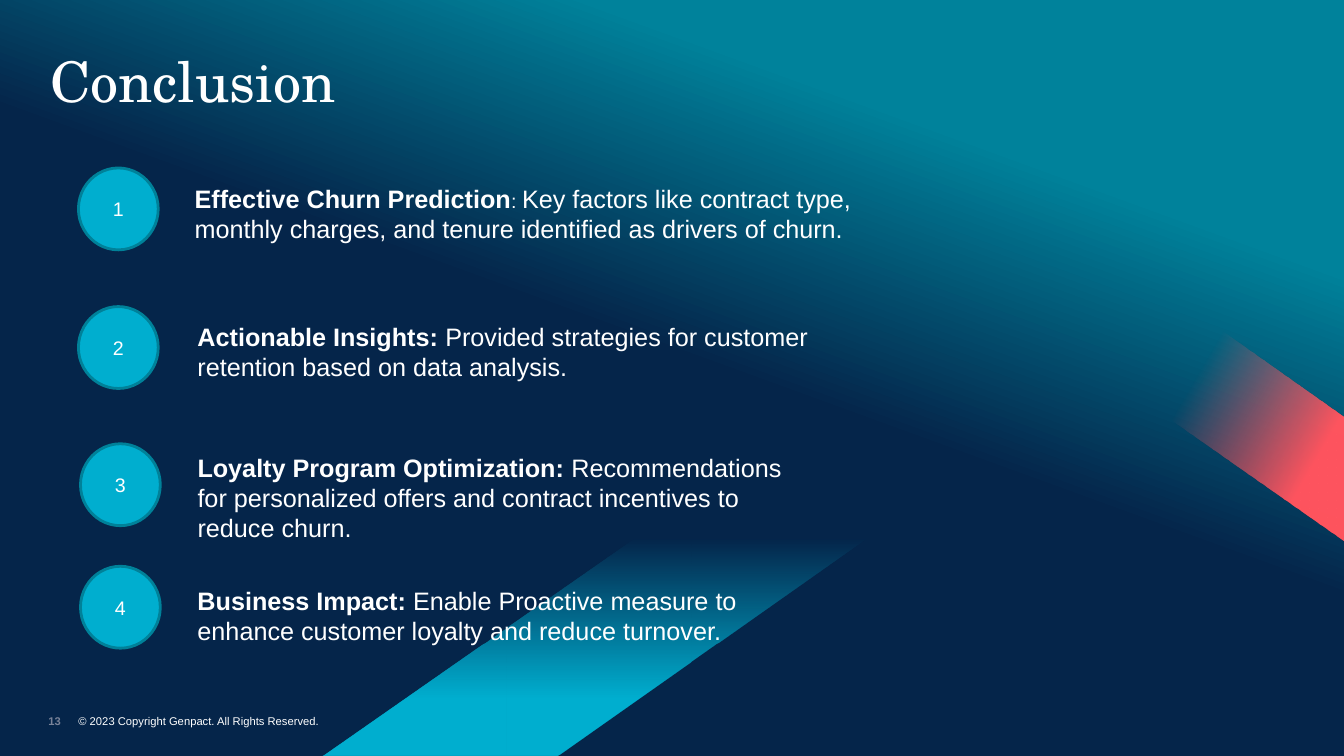
from lxml.etree import SubElement
from pptx import Presentation
from pptx.dml.color import RGBColor
from pptx.enum.shapes import MSO_SHAPE as SHAPE
from pptx.enum.text import MSO_ANCHOR as ANCHOR, PP_ALIGN as ALIGN
from pptx.oxml.ns import qn
from pptx.util import Pt

NAVY = RGBColor(0x05, 0x25, 0x4A)
TEAL = RGBColor(0x00, 0x82, 0x9B)
RIM = RGBColor(0x00, 0x81, 0x99)
CYAN = RGBColor(0x00, 0xAE, 0xCF)
CORAL = RGBColor(0xFF, 0x55, 0x5F)
GREY = RGBColor(0x79, 0x83, 0x99)
WHITE = RGBColor(0xFF, 0xFF, 0xFF)
SANS, SERIF = "Arial", "TeX Gyre Schola"

# Gradient stops: position in percent, colour, opacity in percent
SKY = [(52, NAVY, 100), (78, TEAL, 100)]
BANDS = [
    ([(230.4, 540), (459.4, 380.2), (625, 380.2), (398.2, 540)],
     [(0, CYAN, 0), (3, CYAN, 0), (74, CYAN, 100), (100, CYAN, 100)], 90),
    ([(860.4, 227.5), (960, 298), (960, 386.6), (797, 302.4)],
     [(0, CORAL, 100), (21, CORAL, 100), (68, CORAL, 0), (100, CORAL, 0)], 210),
]
BANDS[1][0][3] = (797, 272.2)

# Circle left and top, text left, top, width and height, runs (text, size, bold)
POINTS = [
    ((56, 120), (132, 127.5, 540, 51),
     [("Effective Churn Prediction", 18, True), (": ", 14, False),
      ("Key factors like contract type, monthly charges, and tenure "
       "identified as drivers of churn.", 18, False)]),
    ((56, 219), (134, 226, 504, 51),
     [("Actionable Insights: ", 18, True),
      ("Provided strategies for customer retention based on data analysis.",
       18, False)]),
    ((57.5, 317), (134, 319.5, 433.5, 90),
     [("Loyalty Program Optimization: ", 18, True),
      ("Recommendations for personalized offers and contract incentives "
       "to reduce churn.", 18, False)]),
    ((57.5, 404.5), (134, 414.5, 409.5, 51),
     [("Business Impact: ", 18, True),
      ("Enable Proactive measure to enhance customer loyalty and reduce "
       "turnover.", 18, False)]),
]
DISC = (57, 58.5)


def shade(fill, root, stops, angle):
    """Fill with a gradient; the angle runs clockwise."""
    fill.gradient()
    fill.gradient_angle = 360 - angle
    items = root.find(".//" + qn("a:gsLst"))
    items.clear()
    for pos, color, alpha in stops:
        stop = SubElement(items, qn("a:gs"), pos=str(pos * 1000))
        tint = SubElement(stop, qn("a:srgbClr"), val=str(color))
        if alpha < 100:
            SubElement(tint, qn("a:alpha"), val=str(alpha * 1000))


def write(frame, runs, font=SANS, color=WHITE):
    frame.word_wrap = True
    para = frame.paragraphs[0]
    for text, size, bold in runs:
        run = para.add_run()
        run.text = text
        run.font.name, run.font.size, run.font.bold = font, Pt(size), bold
        run.font.color.rgb = color
    return para


def add_text(slide, box, runs, inset=True, anchor=ANCHOR.TOP, **style):
    frame = slide.shapes.add_textbox(*map(Pt, box)).text_frame
    frame.vertical_anchor = anchor
    if not inset:
        frame.margin_left = frame.margin_right = 0
        frame.margin_top = frame.margin_bottom = 0
    write(frame, runs, **style)


def add_band(slide, dots, stops, angle):
    dots = [(Pt(x), Pt(y)) for x, y in dots]
    outline = slide.shapes.build_freeform(*dots[0])
    outline.add_line_segments(dots[1:], close=True)
    band = outline.convert_to_shape()
    band.shadow.inherit = False
    band.line.fill.background()
    shade(band.fill, band.element, stops, angle)


def add_disc(slide, spot, number):
    disc = slide.shapes.add_shape(SHAPE.OVAL, *map(Pt, spot + DISC))
    disc.shadow.inherit = False
    disc.fill.solid()
    disc.fill.fore_color.rgb = CYAN
    disc.line.color.rgb = RIM
    disc.line.width = Pt(2)
    disc.text_frame.vertical_anchor = ANCHOR.MIDDLE
    para = write(disc.text_frame, [(str(number), 14, False)])
    para.alignment = ALIGN.CENTER


def main():
    deck = Presentation()
    deck.slide_width, deck.slide_height = Pt(960), Pt(540)
    slide = deck.slides.add_slide(deck.slide_layouts[6])
    shade(slide.background.fill, slide.element, SKY, 290)
    for band in BANDS:
        add_band(slide, *band)
    add_text(slide, (34.5, 510.5, 10, 9.5), [("13", 8, True)], inset=False,
             anchor=ANCHOR.MIDDLE, color=GREY)
    add_text(slide, (36, 3.6, 507.6, 77.8), [("Conclusion", 40, False)],
             inset=False, anchor=ANCHOR.BOTTOM, font=SERIF)
    add_text(slide, (56, 510.5, 189, 9.5),
             [("© 2023 Copyright Genpact. All Rights Reserved.", 8, False)],
             inset=False)
    for number, (spot, box, runs) in enumerate(POINTS, 1):
        add_disc(slide, spot, number)
        add_text(slide, box, runs)
    deck.save("out.pptx")


if __name__ == "__main__":
    main()
